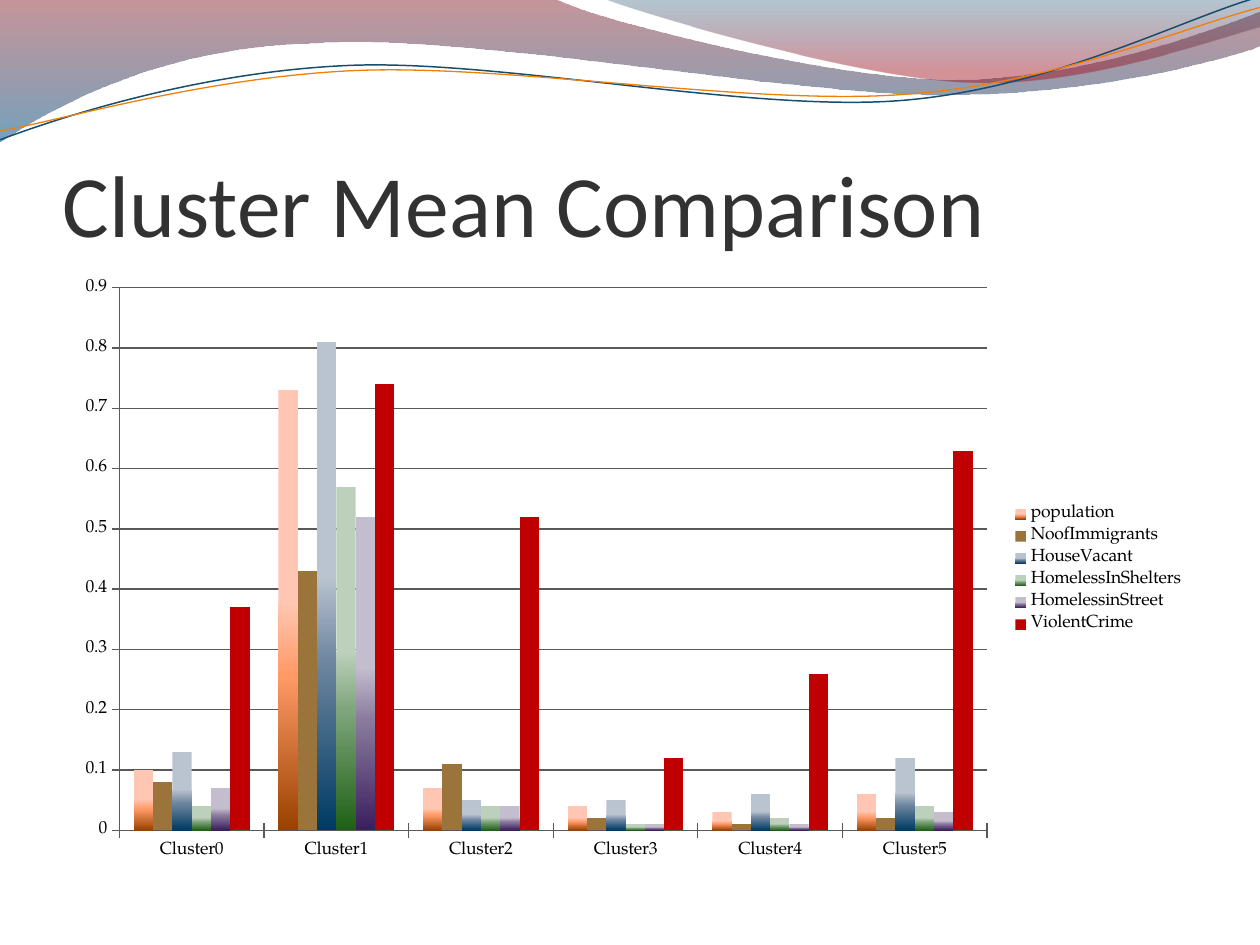
from copy import deepcopy

from pptx import Presentation
from pptx.chart.data import CategoryChartData
from pptx.dml.color import RGBColor
from pptx.enum.chart import XL_CHART_TYPE as ChartType
from pptx.enum.chart import XL_LEGEND_POSITION as LegendPos
from pptx.enum.chart import XL_TICK_MARK as Tick
from pptx.enum.text import MSO_ANCHOR as Anchor
from pptx.oxml.ns import qn
from pptx.util import Inches, Pt

COLORS = {
    "title": "323232", "text": "000000", "axis": "595959",
    "maroon": "7E1621", "blue": "005689", "navy": "094467", "red": "A10F1F",
    "blue line": "184E6D", "orange line": "F07F09",
    "brown": "9A743A", "crime": "C00000",
}
TITLE_FONT, CHART_FONT = "Calibri", "TeX Gyre Pagella"

# Wave outlines: a pair is a straight step, six numbers are a Bezier curve
LEFT_WAVE = [
    (0, 0), (4.4, -0.01), (4.76, 0.17, 6.64, 0.63, 7.58, 0.63),
    (8.53, 0.63, 9.58, 0.26, 10, 0.09), (10.01, 0.36),
    (9.83, 0.44, 8.7, 0.76, 7.46, 0.75), (6.22, 0.75, 3.82, 0.28, 2.57, 0.34),
    (1.29, 0.36, 0.46, 0.83, -0.01, 1.13), (0, 0),
]
RIGHT_WAVE = [
    (4.79, -0.01), (5.09, 0.11, 6.82, 0.62, 7.69, 0.65),
    (8.56, 0.69, 9.61, 0.32, 10, 0.21), (10, 0), (4.79, -0.01),
]
BLUE_CURVE = [
    (0, 1.11), (0.48, 0.93, 1.58, 0.57, 2.77, 0.52),
    (3.95, 0.47, 5.93, 0.89, 7.13, 0.8), (8.33, 0.71, 9.38, 0.15, 9.98, -0.02),
]
ORANGE_CURVE = [
    (0, 1.04), (0.47, 0.96, 1.64, 0.61, 2.83, 0.56),
    (4.03, 0.51, 5.97, 0.84, 7.17, 0.75), (8.36, 0.67, 9.41, 0.21, 10, 0.06),
]

# Cluster means; three colours make a light-to-dark gradient
CLUSTERS = [f"Cluster{i}" for i in range(6)]
SERIES = [
    ("population", (0.1, 0.73, 0.07, 0.04, 0.03, 0.06), ("FFC7B3", "FF9966", "994200")),
    ("NoofImmigrants", (0.08, 0.43, 0.11, 0.02, 0.01, 0.02), (COLORS["brown"],)),
    ("HouseVacant", (0.13, 0.81, 0.05, 0.05, 0.06, 0.12), ("BAC3D0", "6F87A0", "003A63")),
    ("HomelessInShelters", (0.04, 0.57, 0.04, 0.01, 0.02, 0.04), ("BDD0BC", "7FA57C", "1F6015")),
    ("HomelessinStreet", (0.07, 0.52, 0.04, 0.01, 0.01, 0.03), ("C4BDCD", "8A7A9D", "3B1F5E")),
    ("ViolentCrime", (0.37, 0.74, 0.52, 0.12, 0.26, 0.63), (COLORS["crime"],)),
]


def bend(shape, steps):
    """Join the three straight segments of each Bezier step into one curve."""
    segments = iter(list(shape._element.iter(qn("a:lnTo"))))
    for step in steps:
        first = next(segments)
        if len(step) == 6:
            curve = first.makeelement(qn("a:cubicBezTo"), {})
            first.addprevious(curve)
            for segment in (first, next(segments), next(segments)):
                curve.append(segment[0])
                segment.getparent().remove(segment)


def paint_gradient(fill, stops):
    """Top-to-bottom gradient from (position, colour, opacity) in percent."""
    fill.gradient()
    fill.gradient_angle = 270
    first = fill.gradient_stops[0]
    stop_list = first._gs.getparent()
    while len(stop_list) < len(stops):
        stop_list.append(deepcopy(stop_list[-1]))
    for stop, (position, color, opacity) in zip(fill.gradient_stops, stops):
        stop.position = position / 100
        stop.color.rgb = RGBColor.from_string(color)
        if opacity < 100:
            rgb = stop._gs.find(qn("a:srgbClr"))
            alpha = rgb.makeelement(qn("a:alpha"), {"val": str(opacity * 1000)})
            rgb.append(alpha)


class SlideBuilder:
    def __init__(self, slide):
        self.slide = slide

    def outline(self, steps, closed):
        points = [(Inches(step[i]), Inches(step[i + 1]))
                  for step in steps for i in range(0, len(step), 2)]
        builder = self.slide.shapes.build_freeform(*points[0])
        builder.add_line_segments(points[1:], close=closed)
        shape = builder.convert_to_shape()
        bend(shape, steps[1:])
        shape.shadow.inherit = False
        return shape

    def wave(self, steps, stops):
        shape = self.outline(steps, closed=True)
        paint_gradient(shape.fill, stops)
        shape.line.fill.background()

    def curve(self, steps, color, width):
        shape = self.outline(steps, closed=False)
        shape.fill.background()
        shape.line.color.rgb = RGBColor.from_string(COLORS[color])
        shape.line.width = Pt(width)

    def title(self, text, left, top, width, height):
        box = self.slide.shapes.add_textbox(*map(Inches, (left, top, width, height)))
        frame = box.text_frame
        frame.word_wrap = True
        frame.vertical_anchor = Anchor.BOTTOM
        frame.margin_left = frame.margin_right = frame.margin_bottom = 0
        frame.margin_top = Inches(0.05)
        frame.text = text
        font = frame.paragraphs[0].font
        font.name, font.size = TITLE_FONT, Pt(50)
        font.color.rgb = RGBColor.from_string(COLORS["title"])

    def column_chart(self, left, top, width, height):
        means = CategoryChartData()
        means.categories = CLUSTERS
        for name, values, _ in SERIES:
            means.add_series(name, values)
        chart = self.slide.shapes.add_chart(
            ChartType.COLUMN_CLUSTERED, *map(Inches, (left, top, width, height)), means).chart
        chart.font.name, chart.font.size = CHART_FONT, Pt(10)
        chart.font.color.rgb = RGBColor.from_string(COLORS["text"])
        chart.has_title = False
        chart.has_legend = True
        chart.legend.position = LegendPos.RIGHT
        chart.legend.include_in_layout = False

        # Axes and gridlines
        scale = chart.value_axis
        scale.minimum_scale, scale.maximum_scale, scale.major_unit = 0, 0.9, 0.1
        scale.has_major_gridlines = True
        for axis in (scale, chart.category_axis):
            axis.major_tick_mark = Tick.CROSS
        for part in (scale, chart.category_axis, scale.major_gridlines):
            part.format.line.color.rgb = RGBColor.from_string(COLORS["axis"])
            part.format.line.width = Pt(0.75)

        # Columns
        plot = chart.plots[0]
        plot.vary_by_categories = False
        plot.gap_width, plot.overlap = 150, 0
        for series, (_, _, shades) in zip(plot.series, SERIES):
            fill = series.format.fill
            if len(shades) == 1:
                fill.solid()
                fill.fore_color.rgb = RGBColor.from_string(shades[0])
            else:
                light, middle, dark = shades
                paint_gradient(fill, [(0, light, 100), (48, light, 100),
                                      (65, middle, 100), (100, dark, 100)])


def main():
    deck = Presentation()
    deck.slide_width, deck.slide_height = Inches(10), Inches(7.5)
    page = SlideBuilder(deck.slides.add_slide(deck.slide_layouts[6]))

    # Wave header
    page.wave(LEFT_WAVE, [(0, COLORS["maroon"], 45), (100, COLORS["blue"], 55)])
    page.wave(RIGHT_WAVE, [(0, COLORS["navy"], 30), (80, COLORS["red"], 45)])
    page.curve(BLUE_CURVE, "blue line", 0.85)
    page.curve(ORANGE_CURVE, "orange line", 0.75)

    # Title and chart
    page.title("Cluster Mean Comparison", 0.5, 0.77, 9, 1.25)
    page.column_chart(0.5, 2.12, 9, 4.8)
    deck.save("out.pptx")


if __name__ == "__main__":
    main()
